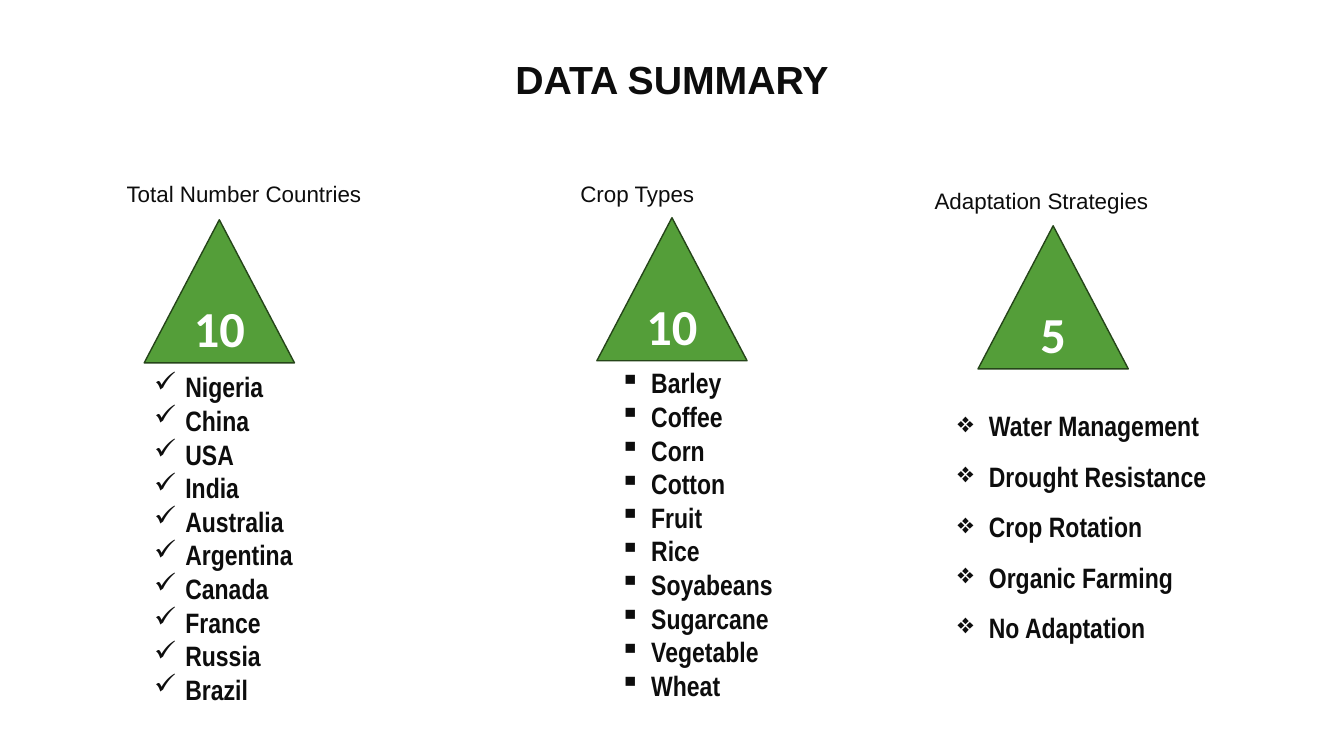
from lxml import etree
from pptx import Presentation
from pptx.dml.color import RGBColor as RGB
from pptx.enum.shapes import MSO_SHAPE as SHAPE
from pptx.enum.text import MSO_ANCHOR as ANCHOR, MSO_AUTO_SIZE as FIT, PP_ALIGN as ALIGN
from pptx.oxml.ns import qn
from pptx.util import Inches, Pt

COLORS = {"ink": "0D0D0D", "green": "549E39", "edge": "254519", "white": "FFFFFF"}
FORMATS = {
    "title": {"name": "Arial", "size": Pt(28), "bold": True},
    "label": {"name": "Arial", "size": Pt(16), "bold": False},
    "count": {"name": "Calibri", "size": Pt(36), "bold": True},
    "item": {"name": "Arial Narrow", "size": Pt(20), "bold": True},
}
COUNTRIES = ["Nigeria", "China", "USA", "India", "Australia",
             "Argentina", "Canada", "France", "Russia", "Brazil"]
CROPS = ["Barley", "Coffee", "Corn", "Cotton", "Fruit",
         "Rice", "Soyabeans", "Sugarcane", "Vegetable", "Wheat"]
STRATEGIES = ["Water Management", "Drought Resistance", "Crop Rotation",
              "Organic Farming", "No Adaptation"]

# Boxes are left, top, width, height in percent of the slide.
TITLE_BOX = (29.71, 6.67, 40.58, 7.6)
LABEL_HEIGHT = 4.93
TRIANGLE_SIZE = (11.18, 18.93)
SUMMARIES = [
    {"label": "Total Number Countries", "label_at": (5.7, 23.2, 24.91),
     "triangle_at": (10.73, 29.07), "items": COUNTRIES, "bullet": "✓",
     "list_box": (10.73, 48.27, 17.55, 46.27), "spacing": 1.0},
    {"label": "Crop Types", "label_at": (35.71, 23.2, 23.41),
     "triangle_at": (44.41, 28.8), "items": CROPS, "bullet": "▪",
     "list_box": (45.39, 47.73, 14.18, 46.27), "spacing": 1.0},
    {"label": "Adaptation Strategies", "label_at": (65.79, 24.13, 23.41),
     "triangle_at": (72.77, 29.87), "items": STRATEGIES, "bullet": "❖",
     "list_box": (70.52, 51.2, 23.41, 34.13), "spacing": 1.5},
]


class Deck:
    """Holds the presentation, its current slide and the shared style."""

    def __init__(self, width, height):
        self.prs = Presentation()
        self.prs.slide_width, self.prs.slide_height = Inches(width), Inches(height)
        self.s = self.prs.slides.add_slide(self.prs.slide_layouts[6])

    def place(self, box):
        """Turn percentages of the slide into lengths."""
        sides = (self.prs.slide_width, self.prs.slide_height) * 2
        return [round(share * side / 100) for share, side in zip(box, sides)]

    def add_text(self, p, text, style, color="ink"):
        r = p.add_run()
        r.text = text
        for key, value in FORMATS[style].items():
            setattr(r.font, key, value)
        r.font.color.rgb = RGB.from_string(COLORS[color])

    def frame(self, box):
        tf = self.s.shapes.add_textbox(*self.place(box)).text_frame
        tf.word_wrap = True
        tf.auto_size = FIT.SHAPE_TO_FIT_TEXT
        return tf

    def heading(self, text, box, style):
        p = self.frame(box).paragraphs[0]
        p.alignment = ALIGN.CENTER
        self.add_text(p, text, style)

    def triangle(self, count, box):
        sp = self.s.shapes.add_shape(SHAPE.ISOSCELES_TRIANGLE, *self.place(box))
        sp.shadow.inherit = False
        sp.fill.solid()
        sp.fill.fore_color.rgb = RGB.from_string(COLORS["green"])
        sp.line.color.rgb = RGB.from_string(COLORS["edge"])
        sp.line.width = Pt(1)
        tf = sp.text_frame
        tf.vertical_anchor = ANCHOR.MIDDLE
        p = tf.paragraphs[0]
        p.alignment = ALIGN.CENTER
        self.add_text(p, str(count), "count", "white")

    def bullets(self, items, box, bullet, spacing):
        tf = self.frame(box)
        indent = Inches(0.31)
        for i, item in enumerate(items):
            p = tf.add_paragraph() if i else tf.paragraphs[0]
            pPr = p._p.get_or_add_pPr()
            pPr.set("marL", str(indent))
            pPr.set("indent", str(-indent))
            etree.SubElement(pPr, qn("a:buChar")).set("char", bullet)
            p.line_spacing = spacing
            self.add_text(p, item, "item")


def main():
    deck = Deck(13.33, 7.5)
    deck.heading("DATA SUMMARY", TITLE_BOX, "title")
    for part in SUMMARIES:
        deck.triangle(len(part["items"]), part["triangle_at"] + TRIANGLE_SIZE)
        deck.heading(part["label"], part["label_at"] + (LABEL_HEIGHT,), "label")
        deck.bullets(part["items"], part["list_box"], part["bullet"], part["spacing"])
    deck.prs.save("out.pptx")


if __name__ == "__main__":
    main()
